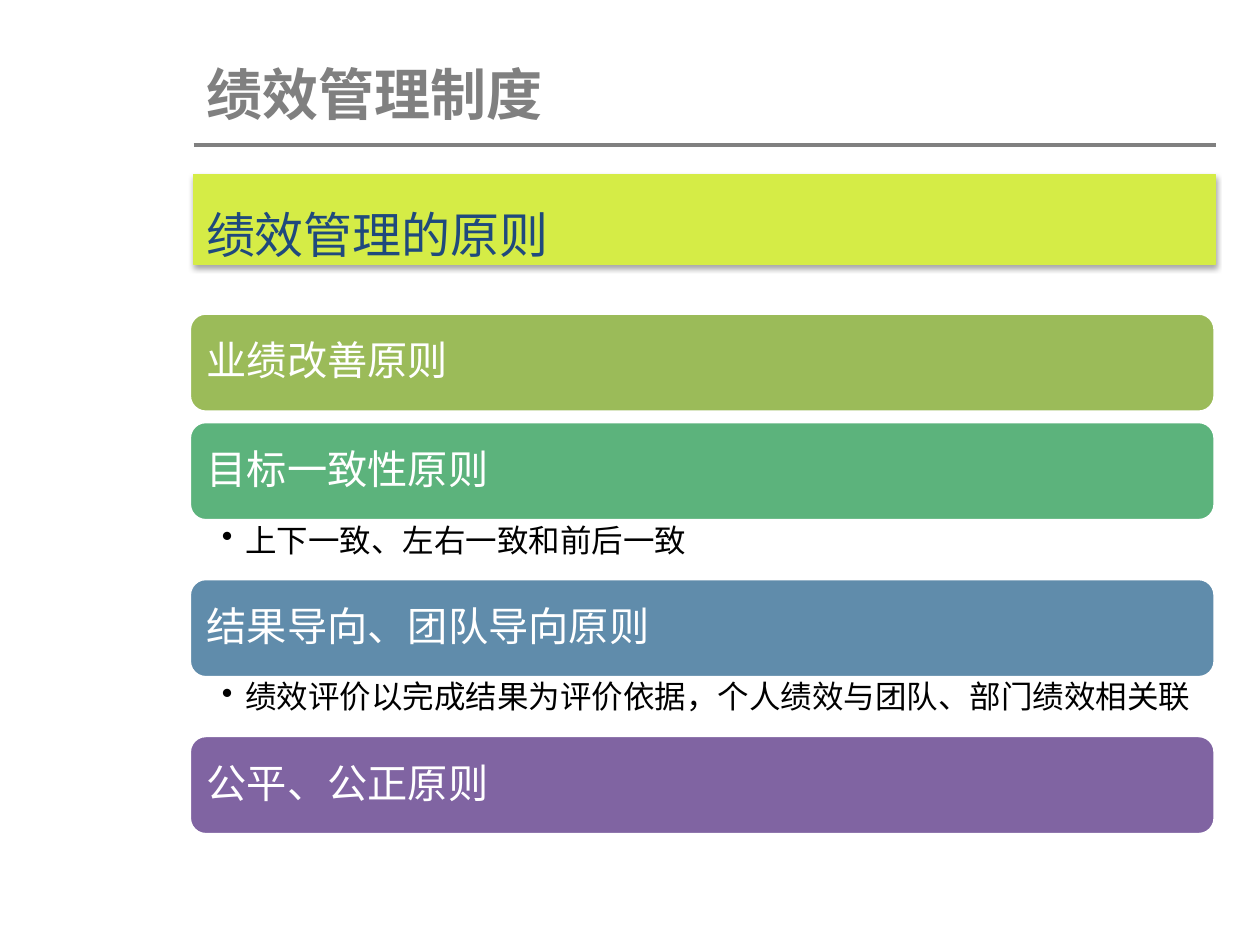
from dataclasses import dataclass

from lxml.etree import SubElement
from pptx import Presentation
from pptx.dml.color import RGBColor
from pptx.enum.shapes import MSO_CONNECTOR, MSO_SHAPE
from pptx.enum.text import MSO_ANCHOR, PP_ALIGN
from pptx.oxml.ns import qn
from pptx.util import Pt


@dataclass(frozen=True)
class Theme:
    font: str = "Noto Sans CJK SC"
    gray: str = "808080"
    lime: str = "D5EC46"
    navy: str = "1F497D"
    white: str = "FFFFFF"
    black: str = "000000"
    bars: tuple = ("9BBB59", "5CB37C", "608CAB", "8064A2")
    title: int = 32
    banner: int = 28
    bar: int = 23
    note: int = 18


def color(code):
    return RGBColor.from_string(code)


class Deck:
    def __init__(self, slide, theme):
        self.slide = slide
        self.theme = theme

    def label(self, shape, text, size, code, bold=False, space=1.0):
        frame = shape.text_frame
        frame.text = text
        para = frame.paragraphs[0]
        para.alignment = PP_ALIGN.LEFT
        para.line_spacing = space
        run = para.runs[0]
        run.font.size = Pt(size)
        run.font.bold = bold
        run.font.color.rgb = color(code)
        run.font.name = self.theme.font
        # East Asian typeface
        SubElement(run._r.get_or_add_rPr(), qn("a:ea"), typeface=self.theme.font)
        return para

    def box(self, x, y, w, h):
        shape = self.slide.shapes.add_textbox(Pt(x), Pt(y), Pt(w), Pt(h))
        shape.text_frame.word_wrap = True
        return shape

    def block(self, kind, x, y, w, h, fill, edge, width):
        shape = self.slide.shapes.add_shape(kind, Pt(x), Pt(y), Pt(w), Pt(h))
        shape.shadow.inherit = False
        shape.fill.solid()
        shape.fill.fore_color.rgb = color(fill)
        shape.line.color.rgb = color(edge)
        shape.line.width = Pt(width)
        shape.text_frame.vertical_anchor = MSO_ANCHOR.MIDDLE
        return shape

    def title(self, text, x, y, w, h):
        self.label(self.box(x, y, w, h), text, self.theme.title, self.theme.gray, bold=True)

    def rule(self, x, y, w):
        line = self.slide.shapes.add_connector(
            MSO_CONNECTOR.STRAIGHT, Pt(x), Pt(y), Pt(x + w), Pt(y))
        line.line.color.rgb = color(self.theme.gray)
        line.line.width = Pt(2.25)
        SubElement(line._element.spPr, qn("a:effectLst"))

    def banner(self, text, x, y, w, h):
        look = self.theme
        shape = self.block(MSO_SHAPE.RECTANGLE, x, y, w, h, look.lime, look.lime, 0.75)
        shape.text_frame.word_wrap = False
        para = self.label(shape, text, look.banner, look.navy, space=1.5)
        para.alignment = PP_ALIGN.JUSTIFY
        # Soft shadow below
        effects = shape._element.spPr.find(qn("a:effectLst"))
        shade = SubElement(effects, qn("a:outerShdw"), blurRad=str(Pt(3.1)),
                           dist=str(Pt(1.8)), dir="5400000", rotWithShape="0")
        tint = SubElement(shade, qn("a:srgbClr"), val=look.black)
        SubElement(tint, qn("a:alpha"), val="35000")

    def bar(self, text, x, y, w, h, fill):
        look = self.theme
        shape = self.block(MSO_SHAPE.ROUNDED_RECTANGLE, x, y, w, h, fill, look.white, 2)
        shape.text_frame.word_wrap = True
        self.label(shape, text, look.bar, look.white, space=0.9)

    def note(self, text, x, y, w, h):
        shape = self.box(x, y, w, h)
        frame = shape.text_frame
        frame.margin_left, frame.margin_right = Pt(18.6), Pt(13)
        frame.margin_top = frame.margin_bottom = Pt(2.3)
        para = self.label(shape, text, self.theme.note, self.theme.black, space=0.9)
        para.level = 1
        props = para._p.get_or_add_pPr()
        props.set("marL", str(Pt(13.5)))
        props.set("indent", str(-Pt(13.5)))
        SubElement(props, qn("a:buChar"), char="•")


def main():
    show = Presentation()
    show.slide_width, show.slide_height = Pt(720), Pt(540)
    theme = Theme()
    deck = Deck(show.slides.add_slide(show.slide_layouts[6]), theme)

    # Heading
    left, wide = 110.7, 584
    deck.title("绩效管理制度", left, 30.2, wide, 46)
    deck.rule(left, 82.8, wide)
    deck.banner("绩效管理的原则", left, 99.9, wide, 51)

    # Principles: a note fills the gap below its bar
    rows = (
        ("业绩改善原则", None),
        ("目标一致性原则", "上下一致、左右一致和前后一致"),
        ("结果导向、团队导向原则", "绩效评价以完成结果为评价依据，个人绩效与团队、部门绩效相关联"),
        ("公平、公正原则", None),
    )
    left, wide, top = 108.2, 586.2, 178.9
    high, gap, deep = 56.7, 5.3, 33
    for (name, note), fill in zip(rows, theme.bars):
        deck.bar(name, left, top, wide, high, fill)
        top += high
        if note:
            deck.note(note, left, top, wide, deep)
        top += deep if note else gap

    show.save("out.pptx")


if __name__ == "__main__":
    main()
